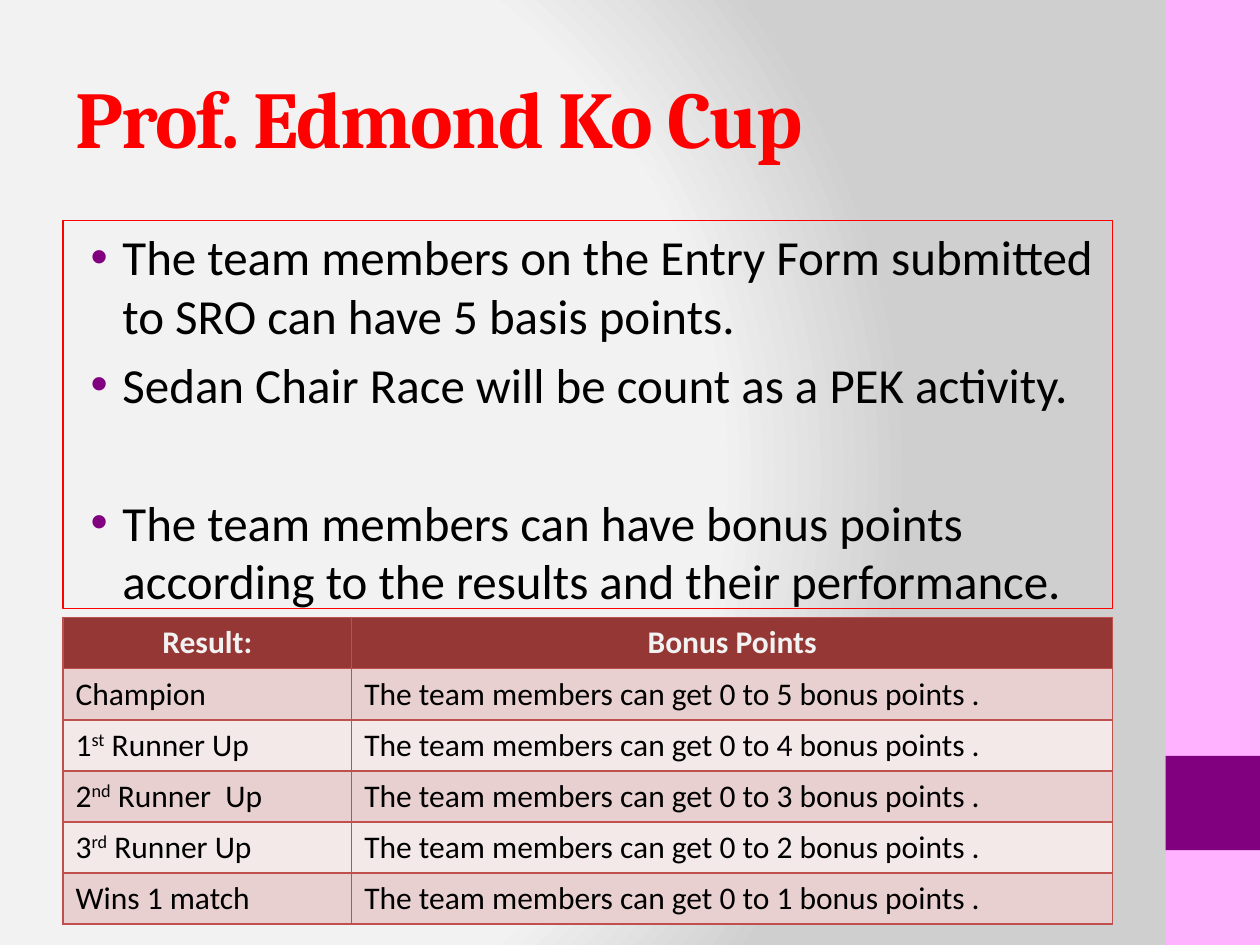
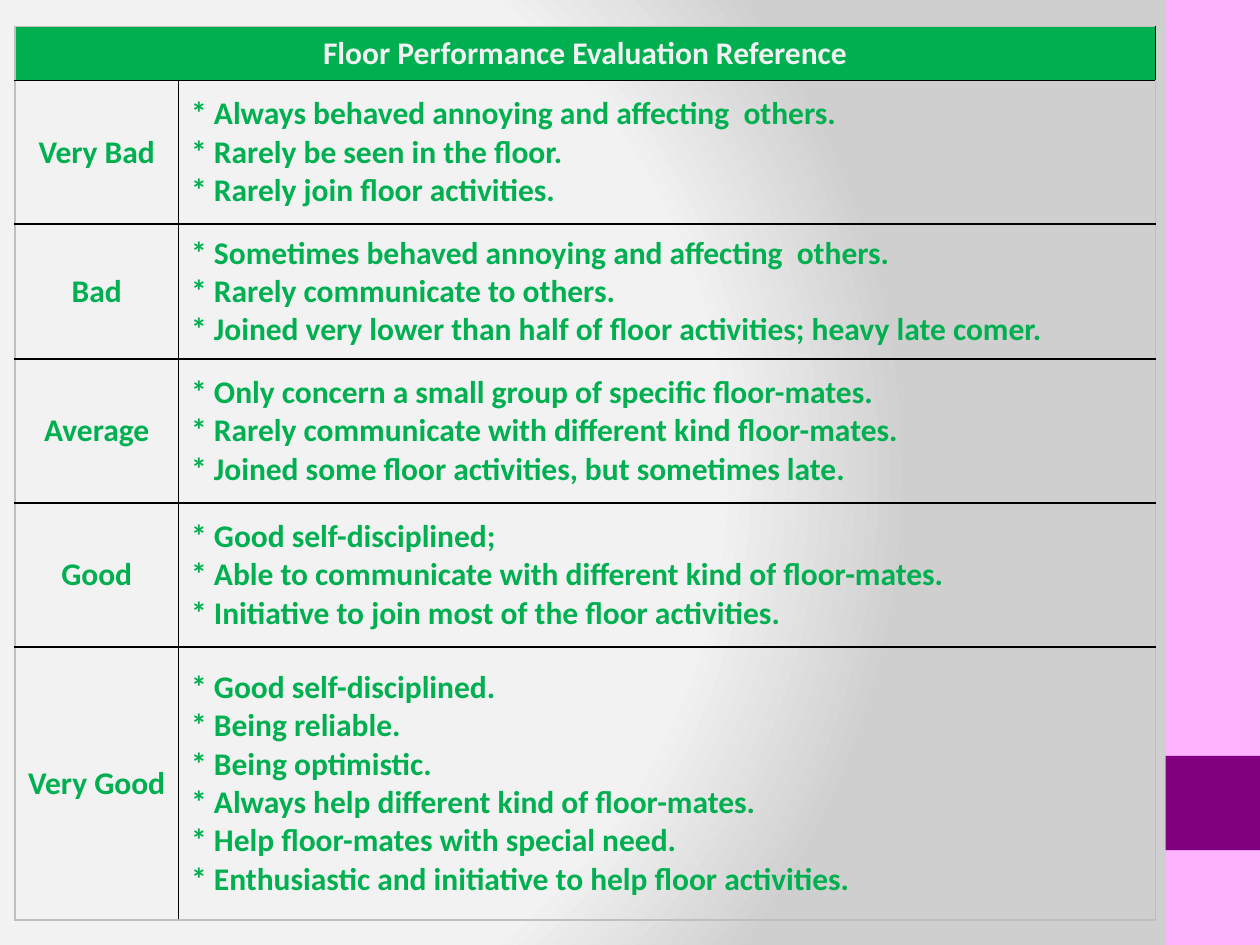
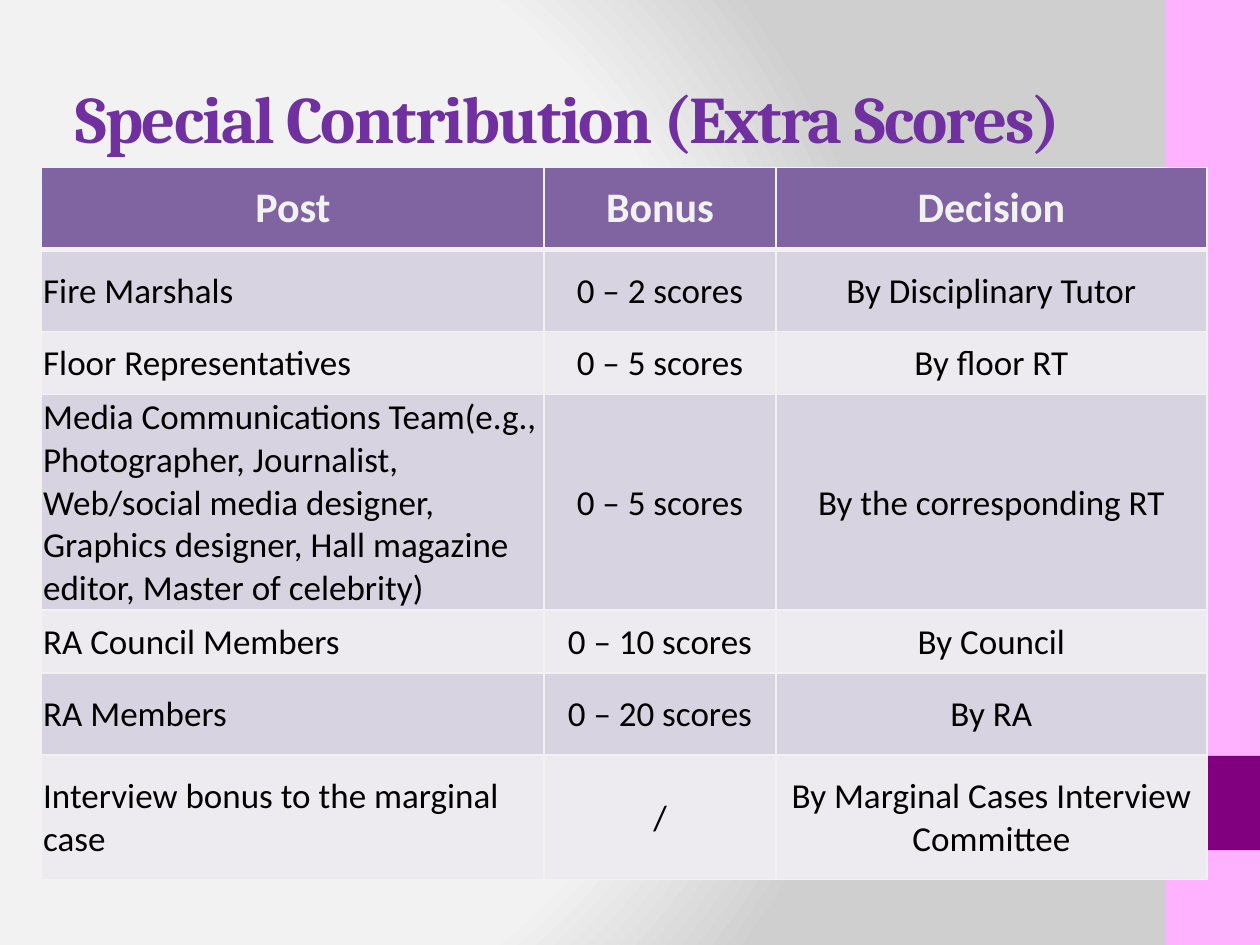
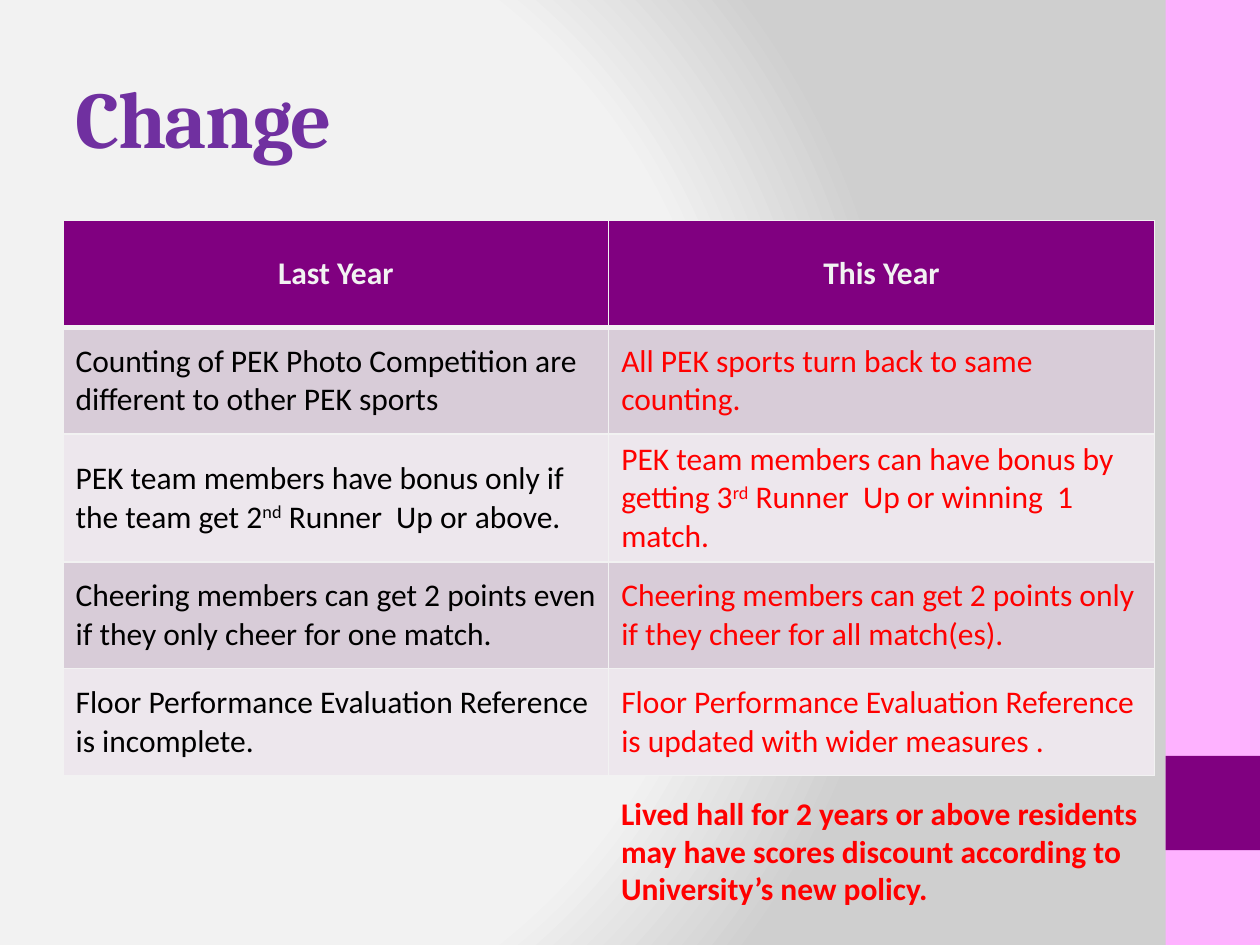
"""Builds four slides on hall bonus points and floor evaluation."""
from lxml import etree
from pptx import Presentation
from pptx import util as u
from pptx.dml.color import RGBColor
from pptx.enum import shapes, text
from pptx.oxml import parse_xml
from pptx.oxml.ns import nsdecls, qn

RED = RGBColor(0xFF, 0x00, 0x00)
BLACK = RGBColor(0x00, 0x00, 0x00)
WHITE = RGBColor(0xF2, 0xF2, 0xF2)
GREY = RGBColor(0xBF, 0xBF, 0xBF)
PINK = RGBColor(0xFE, 0xB2, 0xFF)
PURPLE = RGBColor(0x80, 0x00, 0x80)
VIOLET = RGBColor(0x70, 0x30, 0xA0)
LILAC = RGBColor(0x80, 0x64, 0xA2)
LILAC_BANDS = RGBColor(0xD8, 0xD3, 0xE0), RGBColor(0xED, 0xEA, 0xF0)
PLUM_BANDS = RGBColor(0xD8, 0xCC, 0xD8), RGBColor(0xED, 0xE7, 0xED)
BRICK = RGBColor(0x95, 0x37, 0x35)
BRICK_LINE = RGBColor(0xC0, 0x50, 0x4D)
BRICK_BANDS = RGBColor(0xE8, 0xD0, 0xD0), RGBColor(0xF4, 0xE9, 0xE9)
GREEN = RGBColor(0x00, 0xB0, 0x50)
STOPS = (0, "F3F3F3"), (75000, "F2F2F2"), (100000, "CFCFCF")

LEFT = text.PP_ALIGN.LEFT
CENTER = text.PP_ALIGN.CENTER
MIDDLE = text.MSO_ANCHOR.MIDDLE
TITLE_ONLY, BLANK = 5, 6


class Deck:
    def __init__(self):
        self.prs = Presentation()
        self.prs.slide_width, self.prs.slide_height = u.Cm(25.4), u.Cm(19.05)
        self.background()

    def background(self):
        master = self.prs.slide_master
        master.background.fill.solid()
        stops = "".join(f'<a:gs pos="{pos}"><a:srgbClr val="{c}"/></a:gs>' for pos, c in STOPS)
        bg = master.element.find(".//" + qn("p:bgPr"))
        bg.replace(bg[0], parse_xml(
            f'<a:gradFill {nsdecls("a")} rotWithShape="1"><a:gsLst>{stops}</a:gsLst>'
            '<a:path path="circle"><a:fillToRect l="20000" t="50000" r="100000" b="50000"/>'
            '</a:path></a:gradFill>'))

    def slide(self, title=None, size=46, color=VIOLET):
        self.s = self.prs.slides.add_slide(self.prs.slide_layouts[TITLE_ONLY if title else BLANK])
        self.band(0, 19.05, PINK)
        self.band(15.24, 1.9, PURPLE)
        if title:
            sp = self.s.shapes.title
            sp.left, sp.top, sp.width, sp.height = map(u.Cm, (1.27, 0.76, 21.16, 3.18))
            tf = sp.text_frame
            tf.auto_size = text.MSO_AUTO_SIZE.NONE
            tf.vertical_anchor = MIDDLE
            self.set_text(tf, title, size, color, True, font="Cambria")
            for r in tf.paragraphs[0].runs:
                r._r.get_or_add_rPr().set("spc", "-100")

    def band(self, top, height, color):
        sp = self.s.shapes.add_shape(shapes.MSO_SHAPE.RECTANGLE,
                                     *map(u.Cm, (23.5, top, 1.9, height)))
        sp.shadow.inherit = False
        sp.fill.solid()
        sp.fill.fore_color.rgb = color
        sp.line.fill.background()

    def set_text(self, tf, words, size, color, bold=False, align=LEFT, font="Calibri"):
        tf.text = words
        for p in tf.paragraphs:
            p.alignment = align
            if "^" in p.text:
                pieces = p.text.split("^")
                p.text = pieces[0]
                for i, piece in enumerate(pieces[1:]):
                    r = p.add_run()
                    r.text = piece
                    if i % 2 == 0:
                        r._r.get_or_add_rPr().set("baseline", "30000")
            for r in p.runs:
                r.font.name, r.font.size, r.font.bold = font, u.Pt(size), bold
                r.font.color.rgb = color

    def textbox(self, box, words, size, color, bold=False):
        sp = self.s.shapes.add_textbox(*map(u.Cm, box))
        sp.text_frame.word_wrap = True
        self.set_text(sp.text_frame, words, size, color, bold)
        return sp

    def bullets(self, box, items, gaps):
        sp = self.textbox(box, "\n".join(items), 28, BLACK)
        sp.line.color.rgb = RED
        sp.line.width = u.Pt(0.75)
        for p, gap in zip(sp.text_frame.paragraphs, gaps):
            p.space_before = u.Pt(gap)
            pPr = p._p.get_or_add_pPr()
            pPr.set("marL", str(u.Cm(0.95)))
            pPr.set("indent", str(u.Cm(-0.64)))
            clr = etree.SubElement(pPr, qn("a:buClr"))
            etree.SubElement(clr, qn("a:srgbClr"), val=str(PURPLE))
            etree.SubElement(pPr, qn("a:buFont"), typeface="Arial")
            etree.SubElement(pPr, qn("a:buChar"), char="•")

    def border(self, cell, side, color, width):
        ln = etree.SubElement(cell._tc.get_or_add_tcPr(), qn("a:ln" + side), w=str(u.Pt(width)))
        fill = etree.SubElement(ln, qn("a:solidFill"))
        etree.SubElement(fill, qn("a:srgbClr"), val=str(color))

    def table(self, corner, widths, heights, rows, head, line, bands=None, outer=None,
              rule=1, sizes=(18, 18), colors=(BLACK, BLACK), aligns=(LEFT, LEFT),
              bold=False, tight=False):
        size = sum(widths), sum(heights)
        tbl = self.s.shapes.add_table(len(rows), len(widths), *map(u.Cm, (*corner, *size))).table
        tbl.horz_banding = False
        for col, width in zip(tbl.columns, widths):
            col.width = u.Cm(width)
        for row, height in zip(tbl.rows, heights):
            row.height = u.Cm(height)
        last_row, last_col = len(rows) - 1, len(widths) - 1
        for i, row in enumerate(rows):
            for j, words in enumerate(row):
                cell = tbl.cell(i, j)
                cell.vertical_anchor = MIDDLE
                edges = {"L": j == 0, "R": j == last_col, "T": i == 0, "B": i == last_row}
                for side, at_edge in edges.items():
                    under_head = (i, side) in ((0, "B"), (1, "T"))
                    self.border(cell, side, outer if outer and at_edge else line,
                                rule if under_head else 1)
                fill = head if i == 0 else bands and bands[(i - 1) % 2]
                if fill:
                    cell.fill.solid()
                    cell.fill.fore_color.rgb = fill
                else:
                    cell.fill.background()
                if i == 0:
                    self.set_text(cell.text_frame, words, sizes[0], WHITE, True, CENTER)
                    continue
                if tight:
                    cell.margin_left = cell.margin_right = cell.margin_top = u.Cm(0.03)
                    cell.margin_bottom = 0
                self.set_text(cell.text_frame, words, sizes[1], colors[j], bold, aligns[j])
        return tbl


def cup(deck):
    deck.slide("Prof. Edmond Ko Cup", color=RED)
    deck.bullets((1.27, 4.45, 21.16, 7.82), [
        "The team members on the Entry Form submitted to SRO can have 5 basis points.",
        "Sedan Chair Race will be count as a PEK activity.",
        "The team members can have bonus points according to the results and their performance.",
    ], (5.6, 5.6, 45))
    results = ["Champion", "1^st^ Runner Up", "2^nd^ Runner  Up", "3^rd^ Runner Up", "Wins 1 match"]
    rows = [(name, f"The team members can get 0 to {5 - i} bonus points .")
            for i, name in enumerate(results)]
    deck.table((1.27, 12.45), (5.82, 15.34), [1.03] * 6, [("Result:", "Bonus Points"), *rows],
               BRICK, BRICK_LINE, BRICK_BANDS)


def evaluation(deck):
    deck.slide()
    levels = [
        ("Very Bad", "* Always behaved annoying and affecting  others.\n"
                     "* Rarely be seen in the floor.\n"
                     "* Rarely join floor activities."),
        ("Bad", "* Sometimes behaved annoying and affecting  others.\n"
                "* Rarely communicate to others.\n"
                "* Joined very lower than half of floor activities; heavy late comer."),
        ("Average", "* Only concern a small group of specific floor-mates.\n"
                    "* Rarely communicate with different kind floor-mates.\n"
                    "* Joined some floor activities, but sometimes late."),
        ("Good", "* Good self-disciplined;\n"
                 "* Able to communicate with different kind of floor-mates.\n"
                 "* Initiative to join most of the floor activities."),
        ("Very Good", "* Good self-disciplined.\v* Being reliable.\n"
                      "* Being optimistic.\n"
                      "* Always help different kind of floor-mates.\n"
                      "* Help floor-mates with special need.\n"
                      "* Enthusiastic and initiative to help floor activities."),
    ]
    tbl = deck.table((0.3, 0.53), (3.3, 19.69), (1.09, 2.9, 2.72, 2.9, 2.9, 5.51),
                     [("Floor Performance Evaluation Reference", ""), *levels],
                     GREEN, BLACK, outer=GREY, colors=(GREEN, GREEN),
                     aligns=(CENTER, LEFT), bold=True)
    tbl.cell(0, 0).merge(tbl.cell(0, 1))


def contribution(deck):
    deck.slide("Special Contribution (Extra Scores)", 38)
    rows = [
        ("Post", "Bonus", "Decision"),
        ("Fire Marshals", "0 – 2 scores", "By Disciplinary Tutor"),
        ("Floor Representatives", "0 – 5 scores", "By floor RT"),
        ("Media Communications Team(e.g., Photographer, Journalist, Web/social media designer, "
         "Graphics designer, Hall magazine editor, Master of celebrity)",
         "0 – 5 scores", "By the corresponding RT"),
        ("RA Council Members", "0 – 10 scores", "By Council"),
        ("RA Members", "0 – 20 scores", "By RA"),
        ("Interview bonus to the marginal case", "/", "By Marginal Cases Interview Committee"),
    ]
    deck.table((0.84, 3.38), (10.13, 4.67, 8.69), (1.65, 1.65, 1.27, 3.76, 1.27, 1.65, 2.51),
               rows, LILAC, WHITE, LILAC_BANDS, rule=3, sizes=(24, 20), colors=[BLACK] * 3,
               aligns=(LEFT, CENTER, CENTER), tight=True)


def change(deck):
    deck.slide("Change")
    rows = [
        ("Last Year", "This Year"),
        ("Counting of PEK Photo Competition are different to other PEK sports",
         "All PEK sports turn back to same counting."),
        ("PEK team members have bonus only if the team get 2^nd^ Runner  Up or above.",
         "PEK team members can have bonus by getting 3^rd^ Runner  Up or winning  1 match."),
        ("Cheering members can get 2 points even if they only cheer for one match.",
         "Cheering members can get 2 points only if they cheer for all match(es)."),
        ("Floor Performance Evaluation Reference is incomplete.",
         "Floor Performance Evaluation Reference is updated with wider measures ."),
    ]
    deck.table((1.27, 4.45), (11, 11), [2.15] * 5, rows, PURPLE, WHITE, PLUM_BANDS,
               rule=3, colors=(BLACK, RED))
    note = deck.textbox((12.27, 15.88, 11, 2.57),
                        "Lived hall for 2 years or above residents may have scores discount "
                        "according to University’s new policy.", 18, RED, True)
    note.text_frame.auto_size = text.MSO_AUTO_SIZE.SHAPE_TO_FIT_TEXT


def main():
    deck = Deck()
    for build in (cup, evaluation, contribution, change):
        build(deck)
    deck.prs.save("out.pptx")


if __name__ == "__main__":
    main()
